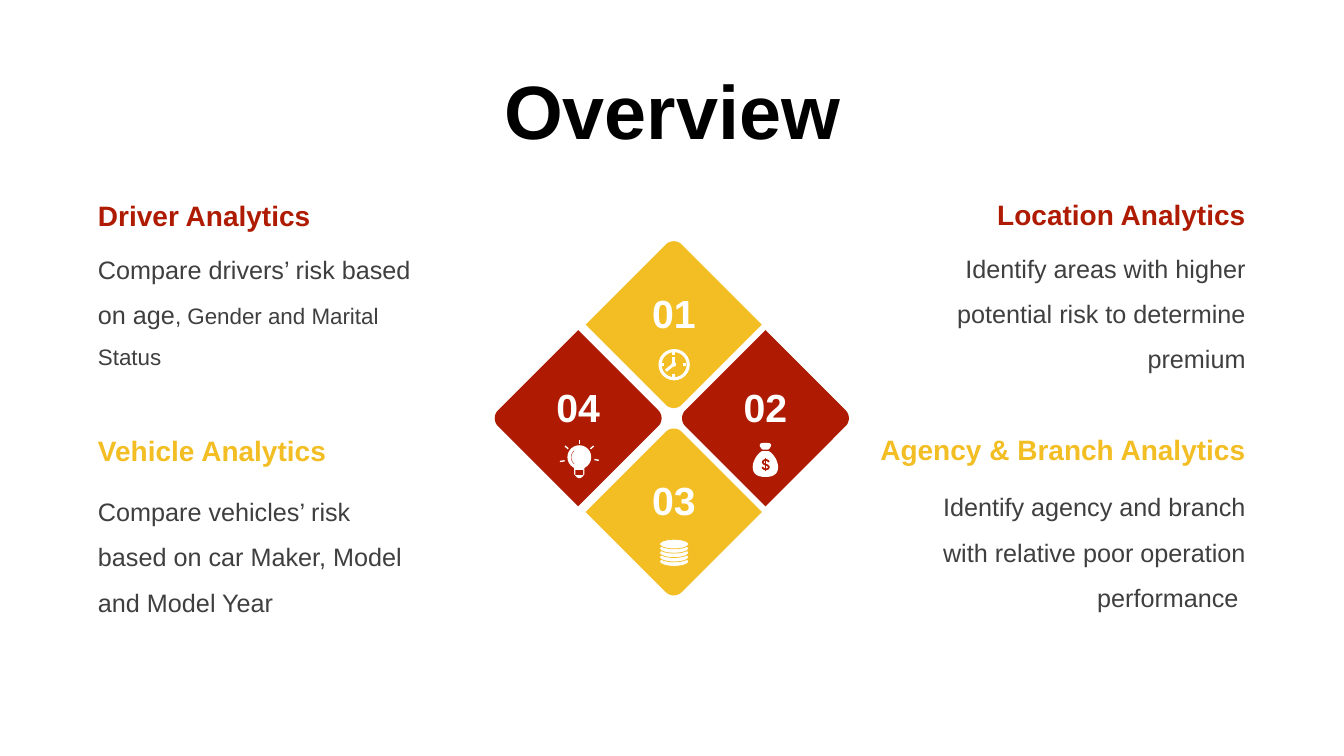
import pptx
import pptx.dml.color
import pptx.enum.shapes
import pptx.enum.text
import pptx.oxml.ns
import pptx.util
import lxml.etree

Cm = pptx.util.Cm
ALIGN = pptx.enum.text.PP_ALIGN
SHAPE = pptx.enum.shapes.MSO_SHAPE
RED, YELLOW, WHITE, BLACK, GREY = "AE1B02", "F3BE24", "FFFFFF", "000000", "3F3F3F"


def colour(value):
    return pptx.dml.color.RGBColor.from_string(value)


def paint(shape, fill=None, line=None, weight=0.75):
    shape.shadow.inherit = False
    if fill:
        shape.fill.solid()
        shape.fill.fore_color.rgb = colour(fill)
    else:
        shape.fill.background()
    if line:
        shape.line.color.rgb = colour(line)
        shape.line.width = pptx.util.Pt(weight)
    else:
        shape.line.fill.background()


def outline(slide, origin, points, closed=True, **style):
    corners = [(Cm(origin[0] + x), Cm(origin[1] + y)) for x, y in points]
    builder = slide.shapes.build_freeform(*corners[0])
    builder.add_line_segments(corners[1:], close=closed)
    paint(builder.convert_to_shape(), **style)


def preset(slide, kind, origin, centre, size, **style):
    left, top = (o + c - s / 2 for o, c, s in zip(origin, centre, size))
    shape = slide.shapes.add_shape(kind, Cm(left), Cm(top), Cm(size[0]), Cm(size[1]))
    paint(shape, **style)
    return shape


def stroke(slide, origin, start, end, ink, weight):
    x, y = origin
    line = slide.shapes.add_connector(
        pptx.enum.shapes.MSO_CONNECTOR.STRAIGHT,
        Cm(x + start[0]), Cm(y + start[1]), Cm(x + end[0]), Cm(y + end[1]))
    line.line.color.rgb = colour(ink)
    line.line.width = pptx.util.Pt(weight)
    properties = line._element.spPr
    lxml.etree.SubElement(properties, pptx.oxml.ns.qn("a:effectLst"))


def curve(a, b, c, d, steps=10):
    ts = [i / steps for i in range(steps + 1)]
    return [tuple((1 - t) ** 3 * a[k] + 3 * (1 - t) ** 2 * t * b[k]
                  + 3 * (1 - t) * t ** 2 * c[k] + t ** 3 * d[k] for k in (0, 1)) for t in ts]


def mirrored(half):
    return half + [(-x, y) for x, y in reversed(half)]


def write(slide, box, pieces, align, bold=False, spacing=None, anchor=None):
    frame = slide.shapes.add_textbox(*(Cm(length) for length in box)).text_frame
    frame.word_wrap = True
    if anchor:
        frame.vertical_anchor = anchor
    paragraph = frame.paragraphs[0]
    paragraph.alignment = align
    if spacing:
        paragraph.line_spacing = spacing
    for words, size, ink in pieces:
        run = paragraph.add_run()
        run.text = words
        run.font.name = "Arial"
        run.font.size = pptx.util.Pt(size)
        run.font.bold = bold
        run.font.color.rgb = colour(ink)


def clock(slide, origin, backing):
    rim = preset(slide, SHAPE.DONUT, origin, (0.01, 0.01), (0.79, 0.79), fill=WHITE)
    rim.adjustments[0] = 0.1
    for dx, dy in ((0, -1), (1, 0), (0, 1), (-1, 0)):
        stroke(slide, origin, (0.24 * dx, 0.24 * dy), (0.32 * dx, 0.32 * dy), WHITE, 2)
    for tip in ((0, -0.19), (-0.2, 0.16)):
        stroke(slide, origin, (0, 0), tip, WHITE, 2)
    preset(slide, SHAPE.OVAL, origin, (0, 0), (0.12, 0.12), fill=WHITE)


def bulb(slide, origin, backing):
    preset(slide, SHAPE.OVAL, origin, (0.03, -0.02), (0.6, 0.6), fill=WHITE)
    socket = mirrored([(-0.13, 0.2), (-0.13, 0.41), (-0.08, 0.47), (-0.03, 0.51)])
    outline(slide, (origin[0] + 0.03, origin[1]), socket, fill=WHITE)
    preset(slide, SHAPE.RECTANGLE, origin, (0.03, 0.37), (0.2, 0.12), fill=backing)
    glare = curve((-0.1, -0.18), (-0.2, -0.1), (-0.2, 0.07), (-0.1, 0.15))
    outline(slide, origin, glare, closed=False, line=backing, weight=0.25)
    rays = [((0.03, -0.45), (0.03, -0.35)), ((-0.33, -0.3), (-0.25, -0.23)),
            ((-0.46, 0.09), (-0.34, 0.07)), ((0.41, 0.04), (0.52, 0.06)),
            ((0.31, -0.23), (0.39, -0.3))]
    for start, end in rays:
        stroke(slide, origin, start, end, WHITE, 1)


def money_bag(slide, origin, backing):
    tie = (curve((-0.06, -0.21), (-0.09, -0.21), (-0.12, -0.26), (-0.14, -0.3))
           + curve((-0.14, -0.3), (-0.16, -0.38), (-0.07, -0.38), (0, -0.38)))
    sack = (curve((-0.09, -0.17), (-0.21, -0.1), (-0.32, 0.08), (-0.32, 0.23))
            + curve((-0.32, 0.23), (-0.32, 0.43), (-0.16, 0.48), (0, 0.48)))
    for part in (tie, sack):
        outline(slide, origin, mirrored(part), fill=WHITE)
    dollar = [(0.09, 0.1), (0.05, 0.06), (0, 0.05), (-0.05, 0.07), (-0.07, 0.11),
              (-0.04, 0.15), (0.01, 0.17), (0.06, 0.19), (0.09, 0.23), (0.07, 0.27),
              (0.01, 0.29), (-0.05, 0.27), (-0.08, 0.23)]
    outline(slide, origin, dollar, closed=False, line=backing, weight=1.25)
    stroke(slide, origin, (0.01, 0.01), (0.01, 0.33), backing, 0.75)


def coins(slide, origin, backing):
    for level in range(5):
        preset(slide, SHAPE.OVAL, origin, (0.01, 0.25 - 0.11 * level), (0.73, 0.24),
               fill=WHITE, line=backing, weight=0.5)


def diamond(slide, centre, upright, number, fill, icon):
    tip = curve((-0.2, -2.02), (-0.09, -2.13), (0.09, -2.13), (0.2, -2.02))
    points = [(-2.22, 0)] + tip + [(2.22, 0)] + [(-x, -y) for x, y in tip]
    if not upright:
        points = [(y, x) for x, y in points]
    outline(slide, centre, points, fill=fill)
    x, y = centre
    write(slide, (x - 0.85, y - 1.61, 1.7, 1.85), [(number, 28, WHITE)],
          ALIGN.CENTER, bold=True, spacing=1.5)
    icon(slide, (x, y + 1), fill)


def diamond_cluster(slide, centre, reach):
    x, y = centre
    side_x = x - 0.05
    diamond(slide, (x, y - reach), True, "01", YELLOW, clock)
    diamond(slide, (side_x - reach, y), False, "04", RED, bulb)
    diamond(slide, (side_x + reach, y), False, "02", RED, money_bag)
    diamond(slide, (x, y + reach), True, "03", YELLOW, coins)


def topic(slide, edge, top, gap, align, heading, ink, details):
    heading_width, details_width = 11.2, 8.66
    on_right = align == ALIGN.RIGHT
    write(slide, (edge - heading_width * on_right, top, heading_width, 1.12),
          [(heading, 20, ink)], align, bold=True)
    write(slide, (edge - details_width * on_right, top + gap, details_width, 3.5),
          [(words, size, GREY) for words, size in details], align, spacing=1.5)


def overview_slide(deck):
    slide = deck.slides.add_slide(deck.slide_layouts[6])
    write(slide, (9.08, 1.55, 15.72, 2.72), [("Overview", 54, BLACK)], ALIGN.CENTER,
          bold=True, spacing=0.9, anchor=pptx.enum.text.MSO_ANCHOR.MIDDLE)
    diamond_cluster(slide, (16.98, 10.54), 2.36)
    left, right = 2.22, 31.64
    topic(slide, left, 4.88, 1.02, ALIGN.LEFT, "Driver Analytics", RED,
          [("Compare drivers’ risk based on age", 18), (", Gender and Marital Status", 16)])
    topic(slide, left, 10.8, 1.2, ALIGN.LEFT, "Vehicle Analytics", YELLOW,
          [("Compare vehicles’ risk based on car Maker, Model and Model Year", 18)])
    topic(slide, right, 4.85, 1.02, ALIGN.RIGHT, "Location Analytics", RED,
          [("Identify areas with higher potential risk to determine premium", 18)])
    topic(slide, right, 10.77, 1.11, ALIGN.RIGHT, "Agency & Branch Analytics", YELLOW,
          [("Identify agency and branch with relative poor operation performance ", 18)])


def main():
    deck = pptx.Presentation()
    deck.slide_width, deck.slide_height = Cm(33.87), Cm(19.05)
    overview_slide(deck)
    deck.save("out.pptx")


if __name__ == "__main__":
    main()
